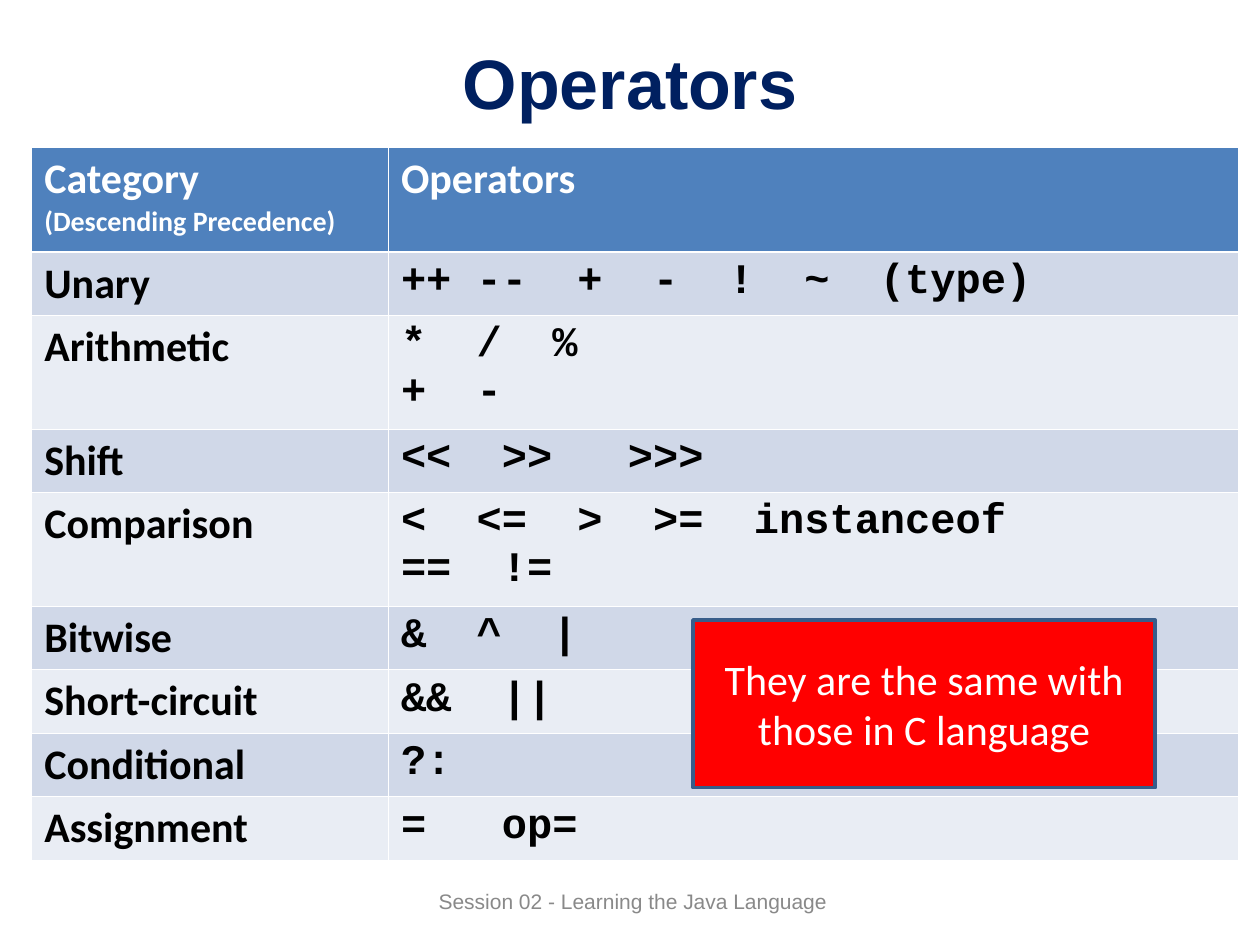
import pptx
import pptx.util
import pptx.dml.color
import pptx.enum.shapes
import pptx.enum.text
import pptx.oxml

Cm = pptx.util.Cm
Pt = pptx.util.Pt
RGBColor = pptx.dml.color.RGBColor
ALIGN = pptx.enum.text.PP_ALIGN
MIDDLE = pptx.enum.text.MSO_ANCHOR.MIDDLE

WHITE = RGBColor(0xFF, 0xFF, 0xFF)
BLACK = RGBColor(0x00, 0x00, 0x00)
NAVY = RGBColor(0x00, 0x20, 0x60)
GREY = RGBColor(0x89, 0x89, 0x89)
BLUE = RGBColor(0x4F, 0x81, 0xBD)
BANDS = (RGBColor(0xE9, 0xED, 0xF4), RGBColor(0xD0, 0xD8, 0xE8))
RED = RGBColor(0xFF, 0x00, 0x00)
EDGE = RGBColor(0x38, 0x5D, 0x8A)

# Each line break starts a new paragraph in the cell
HEAD = ("Category\n(Descending Precedence)", "Operators")
ROWS = [
    ("Unary", "++ --  +  -  !  ~  (type)"),
    ("Arithmetic", "*  /  %\n+  -"),
    ("Shift", "<<  >>   >>>"),
    ("Comparison", "<  <=  >  >=  instanceof\n==  !="),
    ("Bitwise", "&  ^  |"),
    ("Short-circuit", "&&  ||"),
    ("Conditional", "?:"),
    ("Assignment", "=   op="),
]
THIN, THICK = 0.45, 1.47


def style(frame, font, size, color, bold=False, align=None):
    """Format every run of a text frame."""
    for para in frame.paragraphs:
        para.alignment = align
        for run in para.runs:
            run.font.name = font
            run.font.size = Pt(size)
            run.font.bold = bold
            run.font.color.rgb = color


def add_title(slide, text):
    title = slide.shapes.title
    title.left, title.top = Cm(1.27), Cm(0.76)
    title.width, title.height = Cm(22.86), Cm(1.78)
    frame = title.text_frame
    frame.text = text
    frame.vertical_anchor = MIDDLE
    style(frame, "Arial", 40, NAVY, True, ALIGN.CENTER)


def add_foot(slide, text):
    box = slide.shapes.add_textbox(Cm(7.42), Cm(17.65), Cm(10.8), Cm(1.02))
    frame = box.text_frame
    frame.word_wrap = True
    frame.vertical_anchor = MIDDLE
    frame.text = text
    style(frame, "Arial", 12, GREY, align=ALIGN.CENTER)


def set_edges(cell, top, base):
    """Draw white cell borders; top and base are widths in points."""
    props = cell._tc.get_or_add_tcPr()
    for side, width in zip("LRTB", (THIN, THIN, top, base)):
        props.append(pptx.oxml.parse_xml(
            f'<a:ln{side} xmlns:a="http://schemas.openxmlformats.org/'
            f'drawingml/2006/main" w="{Pt(width)}"><a:solidFill>'
            f'<a:srgbClr val="{WHITE}"/></a:solidFill></a:ln{side}>'))


def fill_cell(cell, text, font, color, back, top=THIN, base=THIN):
    set_edges(cell, top, base)
    cell.fill.solid()
    cell.fill.fore_color.rgb = back
    cell.text_frame.text = text
    style(cell.text_frame, font, 24, color, True)


def add_grid(slide):
    frame = slide.shapes.add_table(
        len(ROWS) + 1, 2, Cm(0.64), Cm(2.97), Cm(24.33), Cm(14.35))
    table = frame.table
    table.columns[0].width = Cm(7.19)
    table.columns[1].width = Cm(17.14)

    # Header row
    table.rows[0].height = Cm(2.11)
    for col, text in enumerate(HEAD):
        fill_cell(table.cell(0, col), text, "Calibri", WHITE, BLUE, base=THICK)
    note = table.cell(0, 0).text_frame.paragraphs[1]
    note.runs[0].font.size = Pt(16)

    # Banded rows, taller where the operators take two lines
    for row, texts in enumerate(ROWS, 1):
        table.rows[row].height = Cm(2.29 if "\n" in texts[1] else 1.28)
        top = THICK if row == 1 else THIN
        for col, font in enumerate(("Calibri", "Courier New")):
            fill_cell(table.cell(row, col), texts[col], font, BLACK,
                      BANDS[row % 2], top)


def add_note(slide, text):
    box = slide.shapes.add_shape(
        pptx.enum.shapes.MSO_SHAPE.RECTANGLE,
        Cm(13.97), Cm(12.5), Cm(9.32), Cm(3.38))
    box.shadow.inherit = False
    box.fill.solid()
    box.fill.fore_color.rgb = RED
    box.line.color.rgb = EDGE
    box.line.width = Pt(2)
    frame = box.text_frame
    frame.word_wrap = True
    frame.vertical_anchor = MIDDLE
    frame.text = text
    style(frame, "Calibri", 24, WHITE, align=ALIGN.CENTER)


def main():
    deck = pptx.Presentation()
    deck.slide_width, deck.slide_height = Cm(25.4), Cm(19.05)
    slide = deck.slides.add_slide(deck.slide_layouts[5])
    add_title(slide, "Operators")
    add_foot(slide, "Session 02 - Learning the Java Language ")
    add_grid(slide)
    add_note(slide, "They are the same with those in C language")
    deck.save("out.pptx")


if __name__ == "__main__":
    main()
